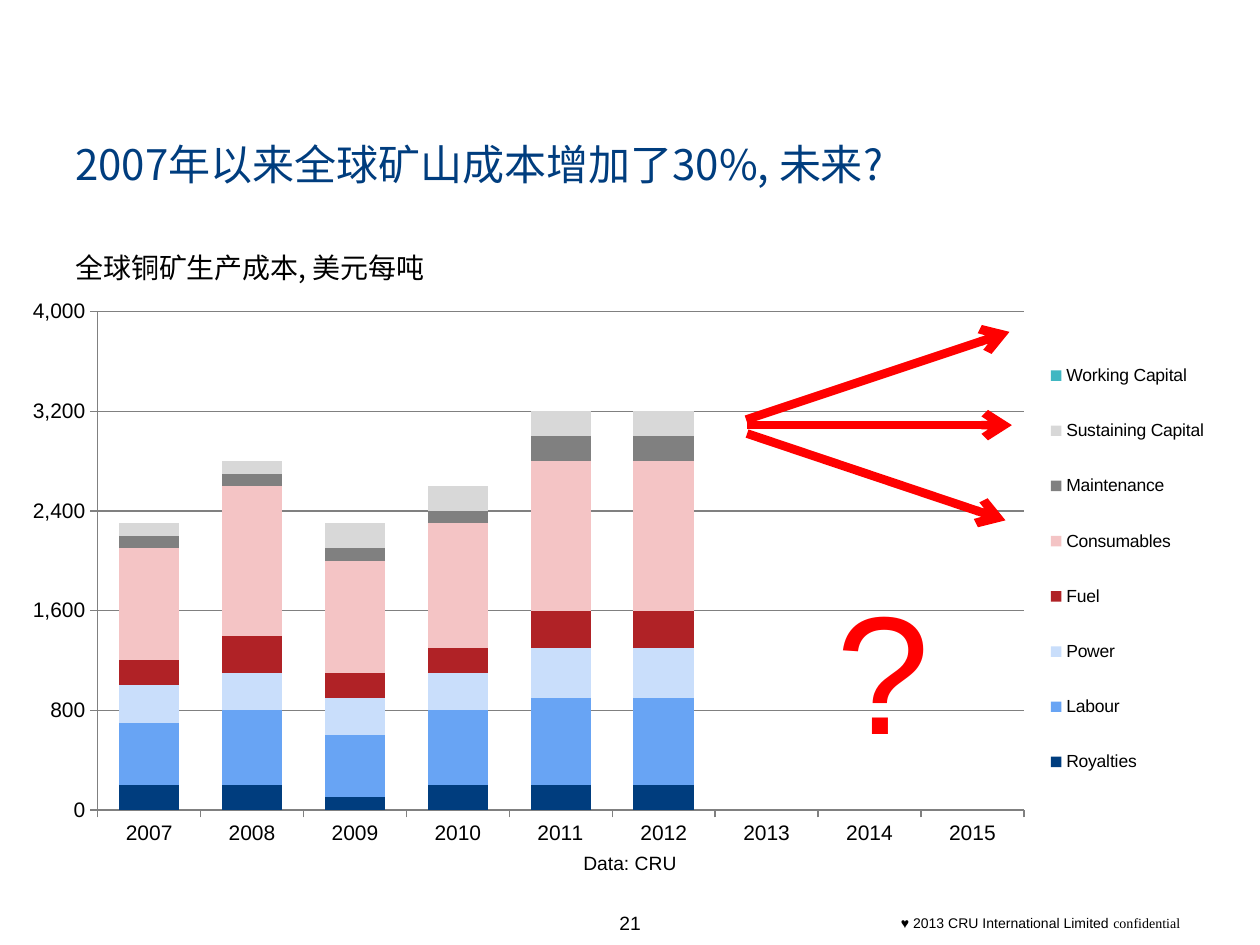
from lxml.etree import SubElement
from pptx import Presentation
from pptx.chart.data import CategoryChartData as Data
from pptx.dml.color import RGBColor as Rgb
from pptx.enum.chart import XL_CHART_TYPE as Kind, XL_LEGEND_POSITION as Side
from pptx.enum.chart import XL_TICK_MARK as Tick
from pptx.enum.shapes import MSO_CONNECTOR as Link
from pptx.enum.text import MSO_ANCHOR as Anchor, PP_ALIGN as Align
from pptx.oxml import parse_xml
from pptx.oxml.ns import nsdecls, qn
from pptx.util import Cm, Pt

THEME = {
    "sans": "Arial", "serif": "Times New Roman", "cjk": "Noto Sans CJK SC",
    "navy": "003D7E", "ink": "000000", "red": "FF0000", "grid": "808080",
    "title": 24, "sub": 16, "note": 11, "foot": 8, "mark": 96,
    "axis": 12, "legend": 10, "rule": 0.75, "arrow": 5,
}

# box in cm, runs of (text, font), size, colour, format values
TOP = {"vertical_anchor": Anchor.TOP, "word_wrap": True}
MID = {"vertical_anchor": Anchor.MIDDLE, "word_wrap": True}
FREE = {"vertical_anchor": Anchor.MIDDLE, "word_wrap": False}
TEXTS = [
    ((17.91, 18.31, 7.49, 0.61),
     [("♥ 2013 CRU International Limited ", "sans"), ("confidential", "serif")],
     "foot", "ink", MID, Align.LEFT),
    ((12.21, 18.24, 0.99, 0.74), [("21", "sans")], "note", "ink", FREE, Align.CENTER),
    ((1.27, 2.67, 22.86, 2.24), [("2007年以来全球矿山成本增加了30%, 未来?", "cjk")],
     "title", "navy", TOP, Align.LEFT),
    ((6.5, 17.06, 12.4, 0.66), [("Data: CRU", "sans")], "note", "ink", MID, Align.CENTER),
    ((1.27, 4.93, 22.86, 1.04), [("全球铜矿生产成本, 美元每吨", "cjk")],
     "sub", "ink", TOP, Align.LEFT),
    ((16.61, 11.26, 2.41, 4.37), [("?", "sans")], "mark", "red", FREE, Align.CENTER),
]

ARROWS = [
    (15.04, 8.46, 20.35, 6.69),
    (15.06, 8.57, 20.4, 8.57),
    (15.06, 8.74, 20.27, 10.49),
]

YEARS = [str(year) for year in range(2007, 2016)]
COSTS = [
    ("Royalties", "003D7E", [200, 200, 100, 200, 200, 200]),
    ("Labour", "68A4F4", [500, 600, 500, 600, 700, 700]),
    ("Power", "C9DEFB", [300, 300, 300, 300, 400, 400]),
    ("Fuel", "B02226", [200, 300, 200, 200, 300, 300]),
    ("Consumables", "F4C4C5", [900, 1200, 900, 1000, 1200, 1200]),
    ("Maintenance", "808080", [100, 100, 100, 100, 200, 200]),
    ("Sustaining Capital", "D8D8D8", [100, 100, 200, 200, 200, 200]),
    ("Working Capital", "40B7C2", [0, 0, 0, 0, 0, 0]),
]
CHART = (0.65, 5.3, 24, 12.34)
PLOT = (0.055, 0.08, 0.778, 0.814)
LEGEND = (0.845, 0.11, 0.15, 0.78)
SCALE = {"minimum_scale": 0, "maximum_scale": 4000, "major_unit": 800,
         "has_major_gridlines": True}


def apply(item, values):
    for name, value in values.items():
        setattr(item, name, value)


def style(font, face, size, tint="ink"):
    apply(font, {"name": THEME[face], "size": Pt(THEME[size])})
    font.color.rgb = Rgb.from_string(THEME[tint])


def stroke(line, tint, width):
    line.color.rgb = Rgb.from_string(THEME[tint])
    line.width = Pt(THEME[width])


def add_text(slide, box, runs, size, tint, frame, align):
    text = slide.shapes.add_textbox(*map(Cm, box)).text_frame
    apply(text, frame)
    para = text.paragraphs[0]
    para.alignment = align
    for words, face in runs:
        run = para.add_run()
        run.text = words
        style(run.font, face, size, tint)
        if face == "cjk":
            SubElement(run.font._element, qn("a:ea"), typeface=THEME[face])


def add_arrow(slide, ends):
    arrow = slide.shapes.add_connector(Link.STRAIGHT, *map(Cm, ends))
    stroke(arrow.line, "red", "arrow")
    SubElement(arrow.line._get_or_add_ln(), qn("a:tailEnd"), type="arrow")
    SubElement(arrow._element.spPr, qn("a:effectLst"))


def layout(box, inner=False):
    """Return a manual chart layout for a box in fractions of the chart."""
    target = '<c:layoutTarget val="inner"/>' if inner else ""
    modes = "".join(f'<c:{axis}Mode val="edge"/>' for axis in "xy")
    sizes = "".join(f'<c:{key} val="{part}"/>' for key, part in zip("xywh", box))
    return parse_xml(f'<c:layout {nsdecls("c")}><c:manualLayout>'
                     f'{target}{modes}{sizes}</c:manualLayout></c:layout>')


def place(owner, node, spot):
    for old in owner.findall(qn("c:layout")):
        owner.remove(old)
    owner.insert(spot, node)


def add_chart(slide):
    data = Data(number_format="#,##0")
    data.categories = YEARS
    for name, _, costs in COSTS:
        data.add_series(name, costs + [None] * (len(YEARS) - len(costs)))
    chart = slide.shapes.add_chart(Kind.COLUMN_STACKED, *map(Cm, CHART), data).chart
    apply(chart, {"has_title": False, "has_legend": True})
    style(chart.font, "sans", "legend")

    plot = chart.plots[0]
    apply(plot, {"gap_width": 70, "overlap": 100, "vary_by_categories": False})
    for bar, (_, tint, _) in zip(plot.series, COSTS):
        bar.format.fill.solid()
        bar.format.fill.fore_color.rgb = Rgb.from_string(tint)

    rows = chart.value_axis
    apply(rows, SCALE)
    apply(rows.tick_labels, {"number_format": "#,##0", "number_format_is_linked": False})
    stroke(rows.major_gridlines.format.line, "grid", "rule")
    for axis in (chart.category_axis, rows):
        apply(axis, {"major_tick_mark": Tick.OUTSIDE, "minor_tick_mark": Tick.NONE})
        style(axis.tick_labels.font, "sans", "axis")
        stroke(axis.format.line, "grid", "rule")

    key = chart.legend
    apply(key, {"position": Side.RIGHT, "include_in_layout": False})
    style(key.font, "sans", "legend")
    place(key._element, layout(LEGEND), 1)
    place(chart._chartSpace.chart.plotArea, layout(PLOT, inner=True), 0)


def main():
    deck = Presentation()
    apply(deck, {"slide_width": Cm(25.4), "slide_height": Cm(19.05)})
    slide = deck.slides.add_slide(deck.slide_layouts[6])
    add_chart(slide)
    for item in TEXTS:
        add_text(slide, *item)
    for ends in ARROWS:
        add_arrow(slide, ends)
    deck.save("out.pptx")


if __name__ == "__main__":
    main()
